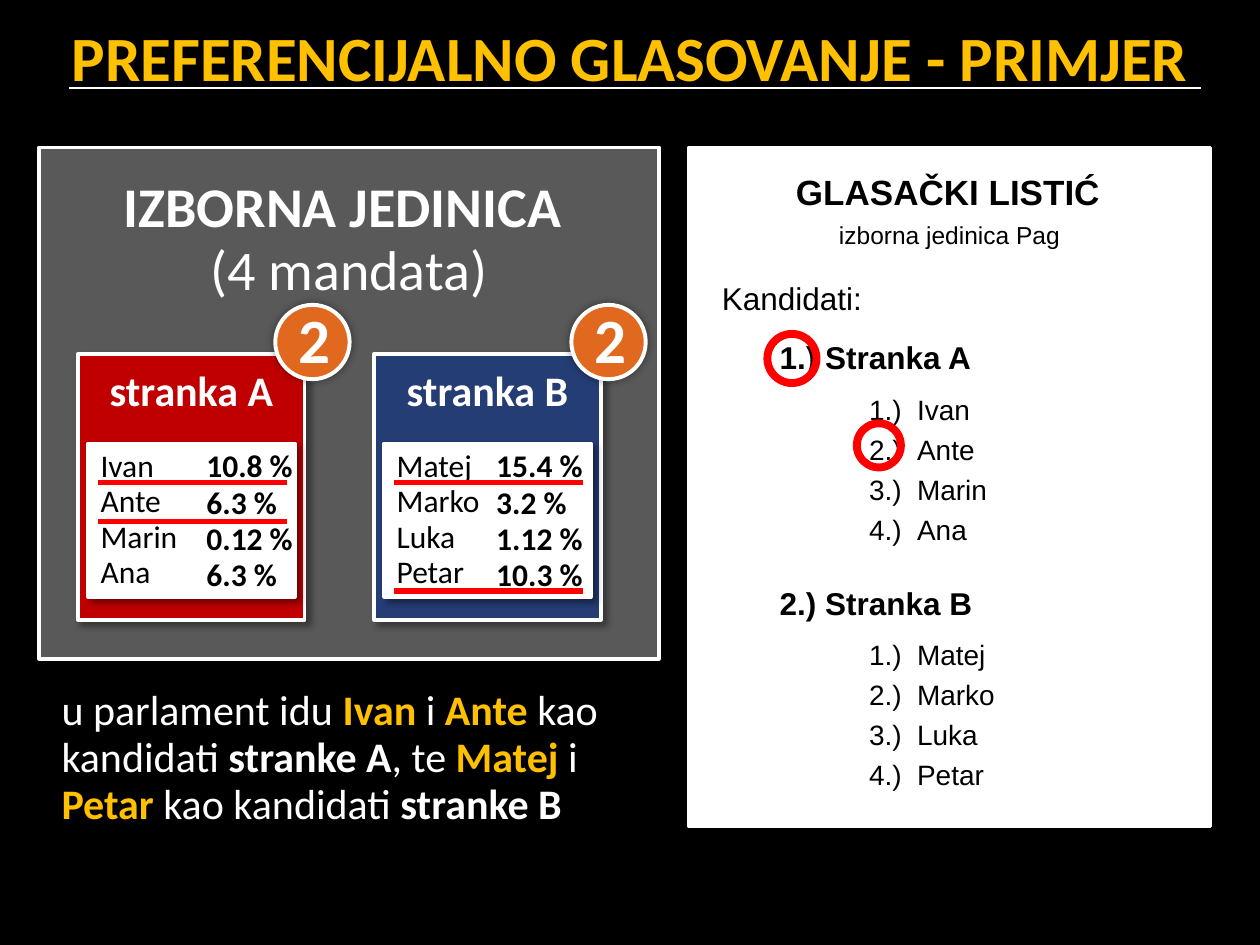
from dataclasses import dataclass

import lxml.etree
import pptx
import pptx.dml.color
import pptx.enum.shapes
import pptx.enum.text
import pptx.oxml.ns
import pptx.util

Pt = pptx.util.Pt
Shape = pptx.enum.shapes.MSO_SHAPE
Align = pptx.enum.text.PP_ALIGN
Anchor = pptx.enum.text.MSO_ANCHOR
qn = pptx.oxml.ns.qn

COLORS = {
    "black": "000000", "white": "FFFFFF", "gold": "FFC000", "gray": "595959",
    "crimson": "C00000", "navy": "253D75", "orange": "E1691F", "red": "FF0000",
}
TIGHT = 0.93
CARD_TOP = 202.3
LIST_TOP = 253.4


@dataclass
class Span:
    text: str
    size: float
    color: str = "black"
    bold: bool = False
    font: str = "Calibri"


@dataclass
class Party:
    name: str
    color: str
    left: float
    share_left: float
    results: list[tuple[str, str]]
    underlines: list[float]
    ballot_title: str
    ballot_top: float


PARTIES = [
    Party("stranka A", "crimson", 44.6, 110.9,
          [("Ivan", "10.8 %"), ("Ante", "6.3 %"), ("Marin", "0.12 %"), ("Ana", "6.3 %")],
          [275.8, 298.1], "1.) Stranka A", 191.5),
    Party("stranka B", "navy", 213.8, 276.5,
          [("Matej", "15.4 %"), ("Marko", "3.2 %"), ("Luka", "1.12 %"), ("Petar", "10.3 %")],
          [275.8, 337.7], "2.) Stranka B", 331.9),
]


def rgb(name: str) -> pptx.dml.color.RGBColor:
    return pptx.dml.color.RGBColor.from_string(COLORS[name])


def add_effects(shape, blur: float = 0, distance: float = 0, angle: int = 0) -> None:
    properties = shape._element.spPr
    for old in properties.findall(qn("a:effectLst")):
        properties.remove(old)
    effects = lxml.etree.SubElement(properties, qn("a:effectLst"))
    if blur:
        shadow = lxml.etree.SubElement(
            effects, qn("a:outerShdw"), blurRad=str(Pt(blur)), dist=str(Pt(distance)),
            dir=str(angle * 60000), algn="ctr", rotWithShape="0")
        color = lxml.etree.SubElement(shadow, qn("a:srgbClr"), val=COLORS["black"])
        lxml.etree.SubElement(color, qn("a:alpha"), val="40000")


def write(shape, paragraphs: list[list[Span]], align=Align.LEFT, spacing: float = TIGHT,
          before: float = 0, tab: float = 0) -> None:
    for index, spans in enumerate(paragraphs):
        frame = shape.text_frame
        para = frame.add_paragraph() if index else frame.paragraphs[0]
        para.alignment = align
        para.line_spacing = spacing
        if index and before:
            para.space_before = Pt(before)
        if tab:
            tabs = lxml.etree.SubElement(para._p.get_or_add_pPr(), qn("a:tabLst"))
            lxml.etree.SubElement(tabs, qn("a:tab"), pos=str(Pt(tab)), algn="l")
        for span in spans:
            run = para.add_run()
            run.text = span.text
            run.font.name = span.font
            run.font.size = Pt(span.size)
            run.font.bold = span.bold
            run.font.color.rgb = rgb(span.color)


def add_panel(page, kind, left: float, top: float, width: float, height: float,
              fill: str | None, line: str = "white", weight: float = 2, inset: float = 3.6):
    panel = page.shapes.add_shape(kind, Pt(left), Pt(top), Pt(width), Pt(height))
    panel.shadow.inherit = False
    if fill:
        panel.fill.solid()
        panel.fill.fore_color.rgb = rgb(fill)
    else:
        panel.fill.background()
    panel.line.color.rgb = rgb(line)
    panel.line.width = Pt(weight)
    panel.text_frame.vertical_anchor = Anchor.TOP
    panel.text_frame.margin_top = Pt(inset)
    return panel


def add_text(page, left: float, top: float, width: float, height: float,
             paragraphs: list[list[Span]], wrap: bool = False, **layout) -> None:
    box = page.shapes.add_textbox(Pt(left), Pt(top), Pt(width), Pt(height))
    box.text_frame.word_wrap = wrap
    write(box, paragraphs, **layout)


def add_rule(page, left: float, right: float, y: float, color: str, weight: float) -> None:
    rule = page.shapes.add_connector(
        pptx.enum.shapes.MSO_CONNECTOR.STRAIGHT, Pt(left), Pt(y), Pt(right), Pt(y))
    rule.line.color.rgb = rgb(color)
    rule.line.width = Pt(weight)
    add_effects(rule)


def add_title(page) -> None:
    title = page.shapes.title
    title.left, title.top, title.width, title.height = Pt(33.8), Pt(5.8), Pt(686.2), Pt(45.4)
    title.text_frame.vertical_anchor = Anchor.TOP
    title.text_frame.margin_top = Pt(5)
    title.text_frame.auto_size = pptx.enum.text.MSO_AUTO_SIZE.NONE
    write(title, [[Span("PREFERENCIJALNO GLASOVANJE - PRIMJER", 36, "gold", True)]], spacing=1)
    add_rule(page, 39.6, 686.2, 50.4, "white", 1)


def add_party(page, party: Party) -> None:
    card = add_panel(page, Shape.RECTANGLE, party.left, CARD_TOP, 129.6, 151.9,
                     party.color, inset=8.6)
    add_effects(card, 4, 3, 45)
    write(card, [[Span(party.name, 24, "white", True)]], Align.CENTER)

    names = add_panel(page, Shape.RECTANGLE, party.left + 5.8, LIST_TOP, 118.1, 87.8, "white")
    add_effects(names, 4, 3, 45)
    write(names, [[Span(name, 18)] for name, share in party.results])
    for row, (name, share) in enumerate(party.results):
        add_text(page, party.share_left, LIST_TOP + 20.7 * row, 64, 27.4,
                 [[Span(share, 18, bold=True)]])
    for y in party.underlines:
        add_rule(page, party.left + 11.4, party.left + 119.4, y, "red", 3)

    badge = add_panel(page, Shape.OVAL, party.left + 112.7, 174.2, 42.5, 42.5,
                      "orange", weight=2.25)
    add_effects(badge, 5)
    badge.text_frame.vertical_anchor = Anchor.MIDDLE
    write(badge, [[Span("2", 36, "white", True)]], Align.CENTER)


def add_ballot(page) -> None:
    sheet = add_panel(page, Shape.RECTANGLE, 393.8, 84.2, 298.1, 388.1, "white")
    add_effects(sheet, 4, 3, 45)
    add_text(page, 447.8, 95.8, 190.1, 29.5,
             [[Span("GLASAČKI LISTIĆ", 20, bold=True, font="Arial")]])
    add_text(page, 472.3, 123.8, 141.8, 23,
             [[Span("izborna jedinica Pag", 14, font="Arial")]])
    add_text(page, 405.4, 157.7, 95, 27.4, [[Span("Kandidati:", 18, font="Arial")]])
    for party in PARTIES:
        add_text(page, 438.5, party.ballot_top, 125.3, 27.4,
                 [[Span(party.ballot_title, 18, bold=True, font="Arial")]])
        candidates = [[Span(f"{number}.)\t{name}", 16, font="Arial")]
                      for number, (name, share) in enumerate(party.results, 1)]
        add_text(page, 489.6, party.ballot_top + 29, 87.8, 93.6, candidates,
                 spacing=1, before=3.7, tab=27.4)
    for left, top, size in [(438.5, 190.8, 28.1), (489.6, 241.9, 25.2)]:
        add_panel(page, Shape.OVAL, left, top, size, size, None, "red", 4.5)


def add_outcome(page) -> None:
    def plain(text: str) -> Span:
        return Span(text, 24, "white")

    def strong(text: str, color: str = "gold") -> Span:
        return Span(text, 24, color, True)

    add_text(page, 28.1, 389.5, 348.5, 88.6, [[
        plain("u parlament idu "), strong("Ivan"), plain(" i "), strong("Ante"),
        plain(" kao kandidati "), strong("stranke A", "white"), plain(", te "),
        strong("Matej"), plain(" i "), strong("Petar"), plain(" kao kandidati "),
        strong("stranke B", "white"),
    ]], wrap=True)


def main() -> None:
    deck = pptx.Presentation()
    deck.slide_width, deck.slide_height = Pt(720), Pt(540)
    page = deck.slides.add_slide(deck.slide_layouts[5])
    page.background.fill.solid()
    page.background.fill.fore_color.rgb = rgb("black")
    add_title(page)
    district = add_panel(page, Shape.RECTANGLE, 22.3, 84.2, 354.2, 292.3, "gray", inset=17.3)
    add_effects(district, 4, 3, 45)
    write(district, [[Span("IZBORNA JEDINICA ", 32, "white", True)],
                     [Span("(4 mandata)", 32, "white")]], Align.CENTER)
    for party in PARTIES:
        add_party(page, party)
    add_ballot(page)
    add_outcome(page)
    deck.save("out.pptx")


if __name__ == "__main__":
    main()
